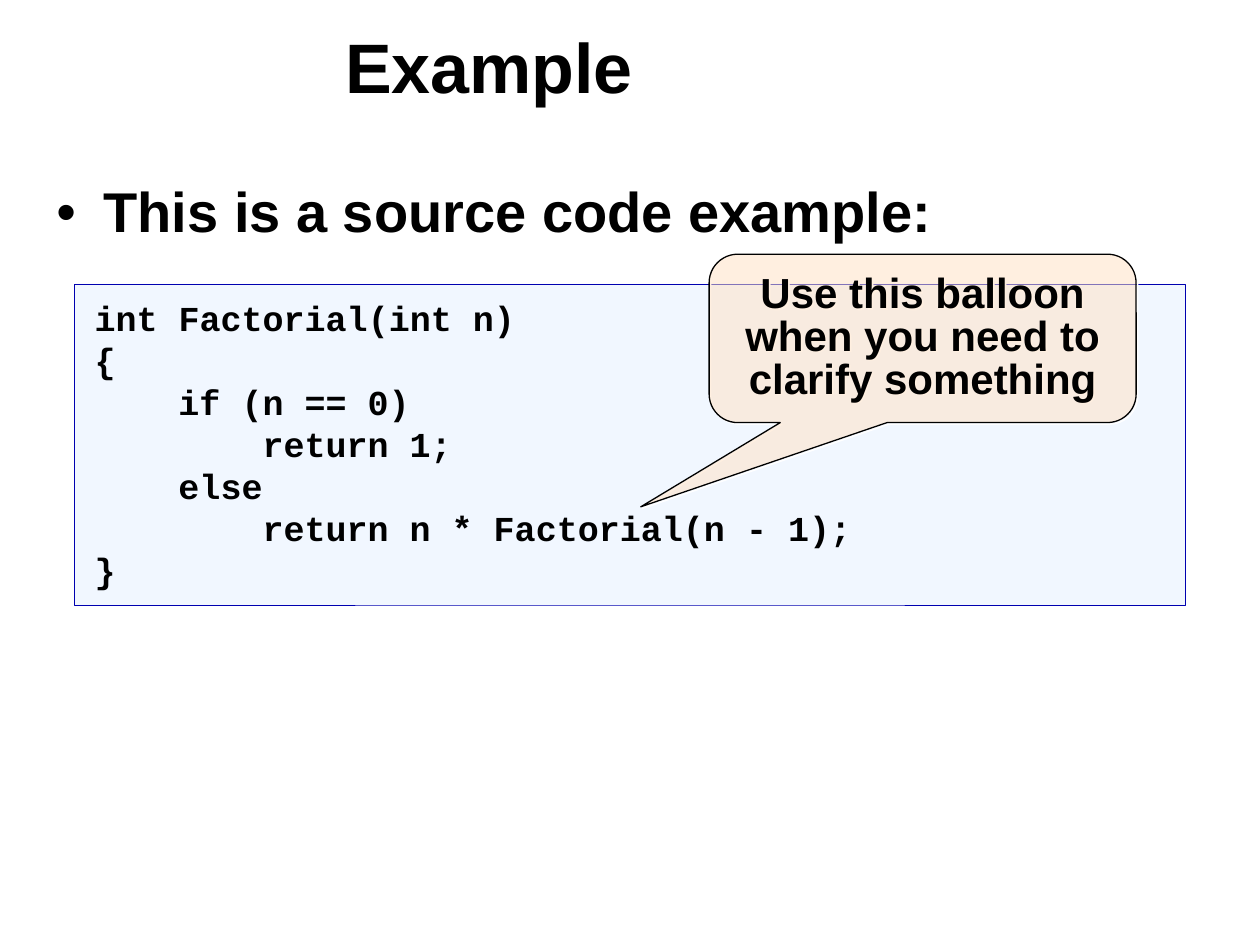
"""Build a slide with a source code example and a callout balloon."""
from lxml.etree import SubElement
from pptx import Presentation
from pptx.dml.color import RGBColor
from pptx.enum.shapes import MSO_SHAPE as Preset
from pptx.enum.text import MSO_ANCHOR as Anchor, MSO_AUTO_SIZE as Fit, PP_ALIGN as Align
from pptx.oxml.ns import qn
from pptx.util import Pt

BLACK = RGBColor(0x00, 0x00, 0x00)
WHITE = RGBColor(0xFF, 0xFF, 0xFF)
NAVY = RGBColor(0x00, 0x00, 0xB0)
PALE_BLUE = RGBColor(0xDD, 0xEC, 0xFF)
PEACH = RGBColor(0xFF, 0xCC, 0x99)
CODE_INDENT = 48
CODE = [
    (0, "int Factorial(int n)"),
    (0, "{"),
    (1, "if (n == 0)"),
    (2, "return 1;"),
    (1, "else"),
    (2, "return n * Factorial(n - 1);"),
    (0, "}"),
]


def set_all(target, values):
    """Set every attribute named in a dict."""
    for name, value in values.items():
        setattr(target, name, value)


def place(box, left, top, width, height):
    """Move and size a box, in points."""
    set_all(box, {"left": Pt(left), "top": Pt(top), "width": Pt(width), "height": Pt(height)})


def set_frame(box, anchor, insets=(7.2, 3.6, 7.2, 3.6), fit=Fit.NONE):
    """Set the anchor, margins and fitting of a text frame."""
    left, top, right, bottom = insets
    set_all(box.text_frame, {
        "word_wrap": True, "auto_size": fit, "vertical_anchor": anchor,
        "margin_left": Pt(left), "margin_top": Pt(top),
        "margin_right": Pt(right), "margin_bottom": Pt(bottom),
    })


def write(para, text, size, font="Arial", **layout):
    """Write one bold black span into a paragraph."""
    span = para.add_run()
    span.text = text
    set_all(span.font, {"name": font, "size": Pt(size), "bold": True})
    span.font.color.rgb = BLACK
    set_all(para, {"alignment": Align.LEFT, "space_before": Pt(0), **layout})


def set_indent(para, margin, first=0):
    """Set the left margin and first-line indent of a paragraph."""
    props = para._p.get_or_add_pPr()
    props.set("marL", str(Pt(margin)))
    props.set("indent", str(Pt(first)))
    return props


def set_alpha(parent, percent):
    """Give the colour inside an element an opacity."""
    color = next(parent.iter(qn("a:srgbClr")))
    SubElement(color, qn("a:alpha"), val=str(percent * 1000))


def add_panel(page, preset, bounds, fill, opacity, line, weight):
    """Add a translucent outlined shape."""
    panel = page.shapes.add_shape(preset, *(Pt(value) for value in bounds))
    panel.shadow.inherit = False
    panel.fill.solid()
    panel.fill.fore_color.rgb = fill
    set_alpha(panel._element.spPr.find(qn("a:solidFill")), opacity)
    panel.line.color.rgb = line
    panel.line.width = Pt(weight)
    return panel


def add_heading(page):
    """Fill the title placeholder."""
    title = page.shapes.title
    place(title, 190, 5.75, 516.25, 71.25)
    set_frame(title, Anchor.MIDDLE)
    write(title.text_frame.paragraphs[0], "Example", 40, line_spacing=0.85)


def add_list(page):
    """Fill the body placeholder with its bullet."""
    body = page.placeholders[1]
    place(body, 25, 100, 669, 420)
    set_frame(body, Anchor.TOP)
    para = body.text_frame.paragraphs[0]
    write(para, "This is a source code example:", 32, line_spacing=0.95, space_before=Pt(16))
    props = set_indent(para, 27, -27)
    bullet_color = SubElement(props, qn("a:buClr"))
    SubElement(bullet_color, qn("a:srgbClr"), val=str(BLACK))
    SubElement(props, qn("a:buFont"), typeface="Arial")
    SubElement(props, qn("a:buChar"), char="•")


def add_code(page):
    """Add the code panel, indenting lines by nesting level."""
    panel = add_panel(page, Preset.RECTANGLE, (42.5, 162.25, 635, 183.5), PALE_BLUE, 40, NAVY, 0.26)
    set_frame(panel, Anchor.TOP, (11.5, 7.2, 11.5, 8.6), Fit.SHAPE_TO_FIT_TEXT)
    frame = panel.text_frame
    for number, (level, text) in enumerate(CODE):
        para = frame.add_paragraph() if number else frame.paragraphs[0]
        write(para, text, 20, "Courier New")
        set_indent(para, level * CODE_INDENT)


def add_balloon(page):
    """Add the callout balloon with its white shadow."""
    balloon = add_panel(page, Preset.ROUNDED_RECTANGULAR_CALLOUT, (405.25, 145.25, 244, 96.25),
                        PEACH, 30, BLACK, 0.74)
    for number, value in enumerate((-0.66, 1, 0.17)):
        balloon.adjustments[number] = value
    effects = balloon._element.spPr.find(qn("a:effectLst"))
    shadow = SubElement(effects, qn("a:outerShdw"), dist=str(Pt(1.4)), dir="2700000",
                        algn="ctr", rotWithShape="0")
    SubElement(shadow, qn("a:srgbClr"), val=str(WHITE))
    set_frame(balloon, Anchor.MIDDLE)
    write(balloon.text_frame.paragraphs[0], "Use this balloon when you need to clarify something",
          24, alignment=Align.CENTER, line_spacing=0.85)


def main():
    """Build and save the deck."""
    deck = Presentation()
    set_all(deck, {"slide_width": Pt(720), "slide_height": Pt(540)})
    page = deck.slides.add_slide(deck.slide_layouts[1])
    page.background.fill.solid()
    page.background.fill.fore_color.rgb = WHITE
    for add_part in (add_heading, add_list, add_code, add_balloon):
        add_part(page)
    deck.save("out.pptx")


main()
